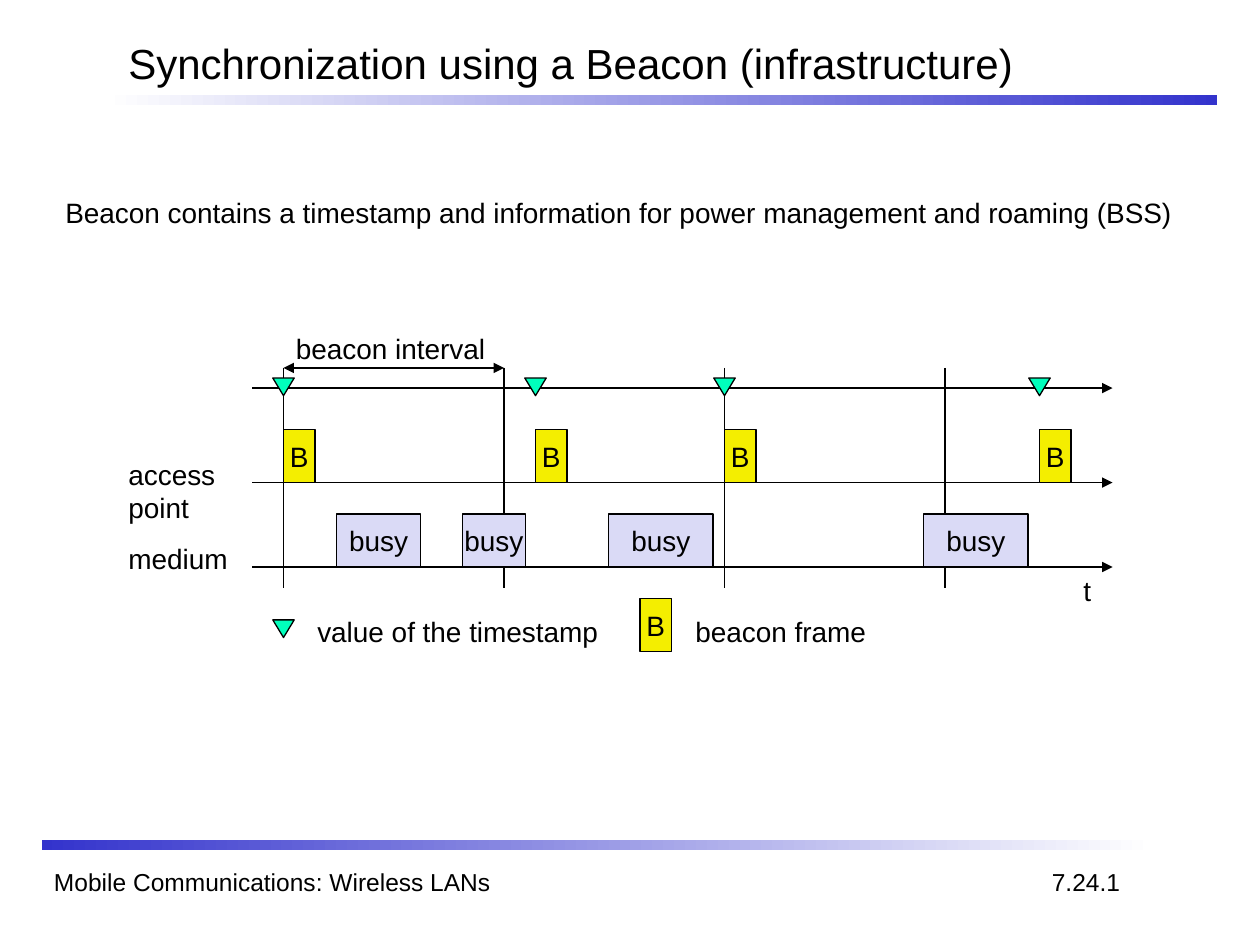
from dataclasses import dataclass

from lxml import etree
from pptx import Presentation
from pptx import util as u
from pptx.dml.color import RGBColor
from pptx.enum import shapes, text
from pptx.oxml import ns


@dataclass(frozen=True)
class Theme:
    font: str = "Arial"
    ink: str = "000000"
    paper: str = "FFFFFF"
    accent: str = "3333CC"
    beacon: str = "F4EE00"
    busy: str = "DADAF6"
    timestamp: str = "01FFBC"
    title_size: int = 24
    body_size: int = 16
    footer_size: int = 14
    line_width: float = 0.75


THEME = Theme()
BLOCK_HEIGHT = 0.42
BEACON_WIDTH = 0.25
MARKER_WIDTH = 0.17
MARKER_HEIGHT = 0.14
AXIS_LEFT, AXIS_RIGHT = 2, 8.83
TIMESTAMP_AXIS, ACCESS_AXIS, MEDIUM_AXIS = 3.08, 3.83, 4.5
INTERVAL_START, INTERVAL = 2.25, 1.75
INTERVAL_TOP, INTERVAL_BOTTOM = 2.92, 4.67
BEACON_TIMES = (2.25, 4.25, 5.75, 8.25)
BUSY_PERIODS = ((2.67, 0.67), (3.67, 0.5), (4.83, 0.83), (7.33, 0.83))


def color(value):
    return RGBColor.from_string(value)


def write(shape, content, size):
    text_frame = shape.text_frame
    text_frame.text = content
    for paragraph in text_frame.paragraphs:
        for run in paragraph.runs:
            run.font.name = THEME.font
            run.font.size = u.Pt(size)
            run.font.color.rgb = color(THEME.ink)
    return text_frame


def add_label(slide, content, left, top, width, height=0.37, size=THEME.body_size, wrap=False):
    label = slide.shapes.add_textbox(*map(u.Inches, (left, top, width, height)))
    text_frame = write(label, content, size)
    text_frame.word_wrap = wrap
    return text_frame


def add_shape(slide, kind, left, top, width, height):
    shape = slide.shapes.add_shape(kind, *map(u.Inches, (left, top, width, height)))
    shape.shadow.inherit = False
    return shape


def add_outlined_shape(slide, kind, left, top, width, height, fill):
    shape = add_shape(slide, kind, left, top, width, height)
    shape.fill.solid()
    shape.fill.fore_color.rgb = color(fill)
    shape.line.color.rgb = color(THEME.ink)
    shape.line.width = u.Pt(THEME.line_width)
    return shape


def add_gradient_bar(slide, left, top, start, end):
    bar = add_shape(slide, shapes.MSO_SHAPE.RECTANGLE, left, top, 8.83, 0.08)
    bar.line.fill.background()
    bar.fill.gradient()
    bar.fill.gradient_angle = 0
    for stop, value in zip(bar.fill.gradient_stops, (start, end)):
        stop.color.rgb = color(value)


def add_block(slide, content, left, top, width, fill):
    block = add_outlined_shape(slide, shapes.MSO_SHAPE.RECTANGLE, left, top,
                               width, BLOCK_HEIGHT, fill)
    text_frame = write(block, content, THEME.body_size)
    text_frame.word_wrap = False
    text_frame.vertical_anchor = text.MSO_ANCHOR.MIDDLE
    text_frame.paragraphs[0].alignment = text.PP_ALIGN.CENTER


def add_beacon(slide, left, top):
    add_block(slide, "B", left, top, BEACON_WIDTH, THEME.beacon)


def add_timestamp(slide, center, top):
    marker = add_outlined_shape(slide, shapes.MSO_SHAPE.ISOSCELES_TRIANGLE,
                                center - MARKER_WIDTH / 2, top,
                                MARKER_WIDTH, MARKER_HEIGHT, THEME.timestamp)
    marker.rotation = 180


def add_line(slide, start, end, arrowheads=()):
    line = slide.shapes.add_connector(shapes.MSO_CONNECTOR.STRAIGHT, *map(u.Inches, start + end))
    line.line.color.rgb = color(THEME.ink)
    line.line.width = u.Pt(THEME.line_width)
    outline = line._element.spPr.find(ns.qn("a:ln"))
    for arrowhead in arrowheads:
        etree.SubElement(outline, ns.qn(f"a:{arrowhead}"), type="triangle")
    etree.SubElement(line._element.spPr, ns.qn("a:effectLst"))


def add_frame(slide):
    add_gradient_bar(slide, 0.83, 0.75, THEME.paper, THEME.accent)
    add_gradient_bar(slide, 0.33, 6.67, THEME.accent, THEME.paper)
    title = add_label(slide, "Synchronization using a Beacon (infrastructure)",
                      0.92, 0.25, 8.5, 0.5, THEME.title_size, wrap=True)
    title.vertical_anchor = text.MSO_ANCHOR.MIDDLE
    add_label(slide, "Mobile Communications: Wireless LANs",
              0.33, 6.83, 6.75, 0.33, THEME.footer_size, wrap=True)
    add_label(slide, "7.24.1", 8.25, 6.83, 0.74, 0.34, THEME.footer_size)


def add_timeline(slide):
    for axis in (TIMESTAMP_AXIS, ACCESS_AXIS, MEDIUM_AXIS):
        add_line(slide, (AXIS_LEFT, axis), (AXIS_RIGHT, axis), ("tailEnd",))
    for index in range(4):
        tick = INTERVAL_START + index * INTERVAL
        add_line(slide, (tick, INTERVAL_TOP), (tick, INTERVAL_BOTTOM))
    add_line(slide, (INTERVAL_START, INTERVAL_TOP), (INTERVAL_START + INTERVAL, INTERVAL_TOP),
             ("headEnd", "tailEnd"))
    for left, width in BUSY_PERIODS:
        add_block(slide, "busy", left, MEDIUM_AXIS - BLOCK_HEIGHT, width, THEME.busy)
    for time in BEACON_TIMES:
        add_beacon(slide, time, ACCESS_AXIS - BLOCK_HEIGHT)
        add_timestamp(slide, time, 3)
    add_label(slide, "beacon interval", 2.25, 2.58, 1.7)
    add_label(slide, "access\npoint", 0.92, 3.58, 0.89, 0.64)
    add_label(slide, "medium", 0.92, 4.25, 0.99)
    add_label(slide, "t", 8.5, 4.5, 0.26)


def add_legend(slide):
    add_timestamp(slide, INTERVAL_START, 4.92)
    add_label(slide, "value of the timestamp", 2.42, 4.83, 2.43)
    add_beacon(slide, 5.08, 4.75)
    add_label(slide, "beacon frame", 5.42, 4.83, 1.6)


def main():
    presentation = Presentation()
    presentation.slide_width = u.Inches(10)
    presentation.slide_height = u.Inches(7.5)
    slide = presentation.slides.add_slide(presentation.slide_layouts[6])
    add_frame(slide)
    add_label(slide, "Beacon contains a timestamp and information for power management and roaming (BSS)",
              0.42, 1.5, 9.33, wrap=True)
    add_timeline(slide)
    add_legend(slide)
    presentation.save("out.pptx")


if __name__ == "__main__":
    main()
